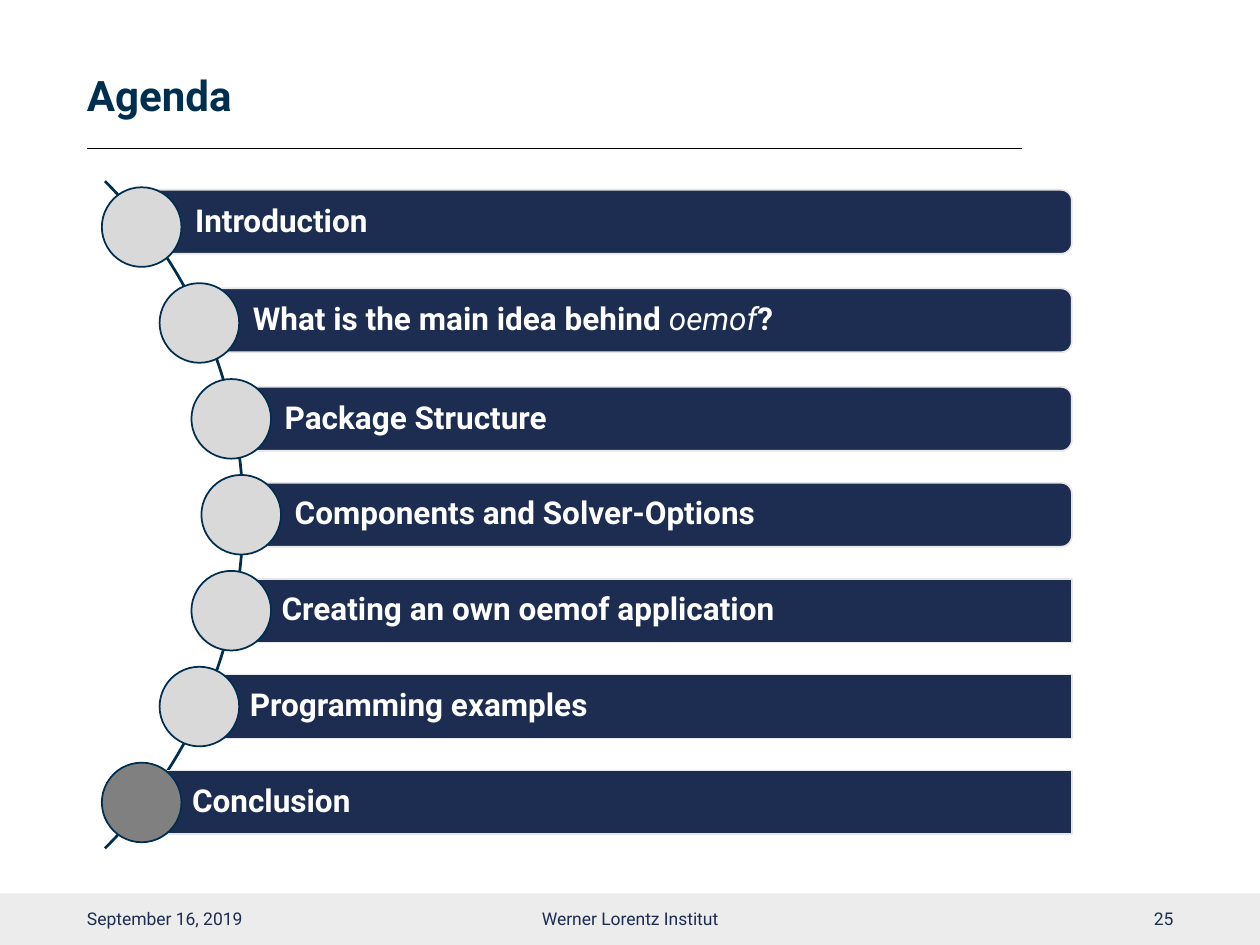
from dataclasses import dataclass

from lxml.etree import SubElement
from pptx import Presentation
from pptx.dml.color import RGBColor
from pptx.enum.shapes import MSO_CONNECTOR, MSO_SHAPE
from pptx.enum.text import MSO_ANCHOR, PP_ALIGN
from pptx.oxml.ns import qn
from pptx.util import Pt


@dataclass(frozen=True)
class Theme:
    face: str = "Roboto"
    title: str = "002E4F"
    arc: str = "002E50"
    navy: str = "1C2D51"
    edge: str = "E7E6E6"
    band: str = "ECECEC"
    dot: str = "D9D9D9"
    done: str = "808080"
    white: str = "FFFFFF"
    black: str = "000000"
    head: int = 24
    body: int = 18
    small: int = 10


theme = Theme()


def draw(kind, left, top, width, height, fill, edge=None):
    shape = slide.shapes.add_shape(kind, Pt(left), Pt(top), Pt(width), Pt(height))
    shape.shadow.inherit = False
    shape.fill.solid()
    shape.fill.fore_color.rgb = RGBColor.from_string(fill)
    if edge:
        shape.line.color.rgb = RGBColor.from_string(edge)
        shape.line.width = Pt(1)
    else:
        shape.line.fill.background()
    return shape


def write(shape, parts, size, color, bold=False, align=PP_ALIGN.LEFT, left=0, right=0):
    frame = shape.text_frame
    frame.word_wrap = True
    frame.vertical_anchor = MSO_ANCHOR.MIDDLE
    frame.margin_left, frame.margin_right = Pt(left), Pt(right)
    frame.margin_top = frame.margin_bottom = Pt(3.6)
    para = frame.paragraphs[0]
    para.alignment = align
    para.font.name = theme.face
    para.font.size = Pt(size)
    para.font.bold = bold
    para.font.color.rgb = RGBColor.from_string(color)
    for part in parts:
        para.add_run().text = part
    return para


deck = Presentation()
deck.slide_width, deck.slide_height = Pt(720), Pt(540)
slide = deck.slides.add_slide(deck.slide_layouts[5])

title = slide.shapes.title
title.left, title.top, title.width, title.height = Pt(49.7), Pt(28.8), Pt(622), Pt(54.7)
para = write(title, ["Agenda"], theme.head, theme.title, bold=True, right=7.2)
para.line_spacing = 0.9

draw(MSO_SHAPE.RECTANGLE, 0, 510.5, 720, 29.5, theme.band)
rule = slide.shapes.add_connector(MSO_CONNECTOR.STRAIGHT, Pt(49.7), Pt(85), Pt(584), Pt(85))
rule.line.color.rgb = RGBColor.from_string(theme.black)
rule.line.width = Pt(0.5)
SubElement(rule._element.spPr, qn("a:effectLst"))

arc = draw(MSO_SHAPE.BLOCK_ARC, -401, 23.8, 540.7, 540.7, theme.arc)
arc.adjustments[0] = 189
arc.adjustments[1] = 27
arc.adjustments[2] = 0.0029

items = [
    ["Introduction"],
    ["What is the main idea behind ", "oemof", "?"],
    ["Package Structure"],
    ["Components and Solver-Options"],
    ["Creating an own oemof application"],
    ["Programming examples"],
    ["Conclusion"],
]
lefts = [58.2, 91.2, 109.4, 115.1]
size, pitch, end = 45.5, 54.8, 612.5
last = len(items) - 1
for i, parts in enumerate(items):
    left = lefts[min(i, last - i)]
    top = 107 + i * pitch
    start = left + size / 2
    kind = MSO_SHAPE.ROUNDED_RECTANGLE if i < 4 else MSO_SHAPE.RECTANGLE
    drop = 1.5 * min(i + 1, 3)
    bar = draw(kind, start, top + drop, end - start, 36.5, theme.navy, theme.edge)
    para = write(bar, parts, theme.body, theme.white, bold=True, left=28.8, right=3.6)
    para.line_spacing = 0.9
    for run in para.runs[1:2]:
        run.font.bold = False
        run.font.italic = True
    fill = theme.done if i == last else theme.dot
    draw(MSO_SHAPE.OVAL, left, top, size, size, fill, theme.title)

foot = [
    ("September 16, 2019", 49.7, 162, PP_ALIGN.LEFT),
    ("Werner Lorentz Institut", 238.5, 243, PP_ALIGN.CENTER),
    ("25", 508.5, 162, PP_ALIGN.RIGHT),
]
for text, left, width, align in foot:
    box = slide.shapes.add_textbox(Pt(left), Pt(510.5), Pt(width), Pt(28.8))
    write(box, [text], theme.small, theme.navy, align=align)

deck.save("out.pptx")
